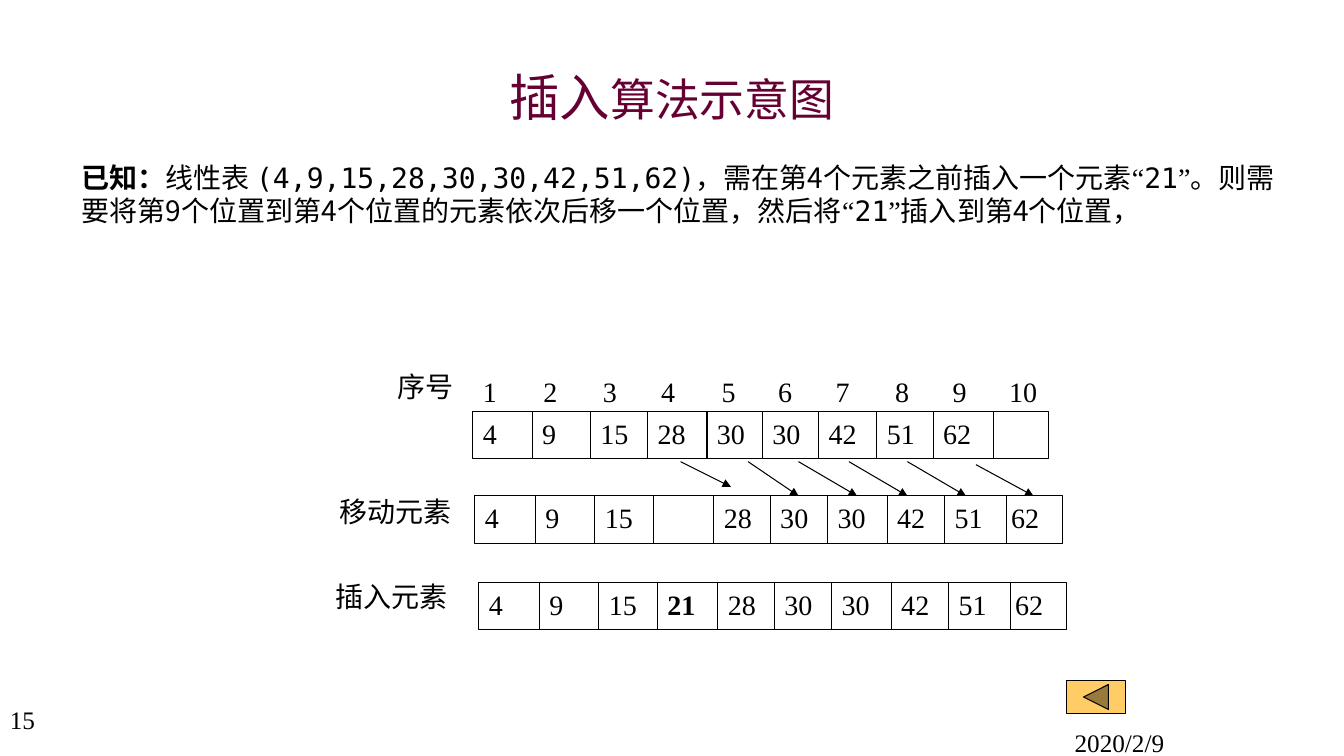
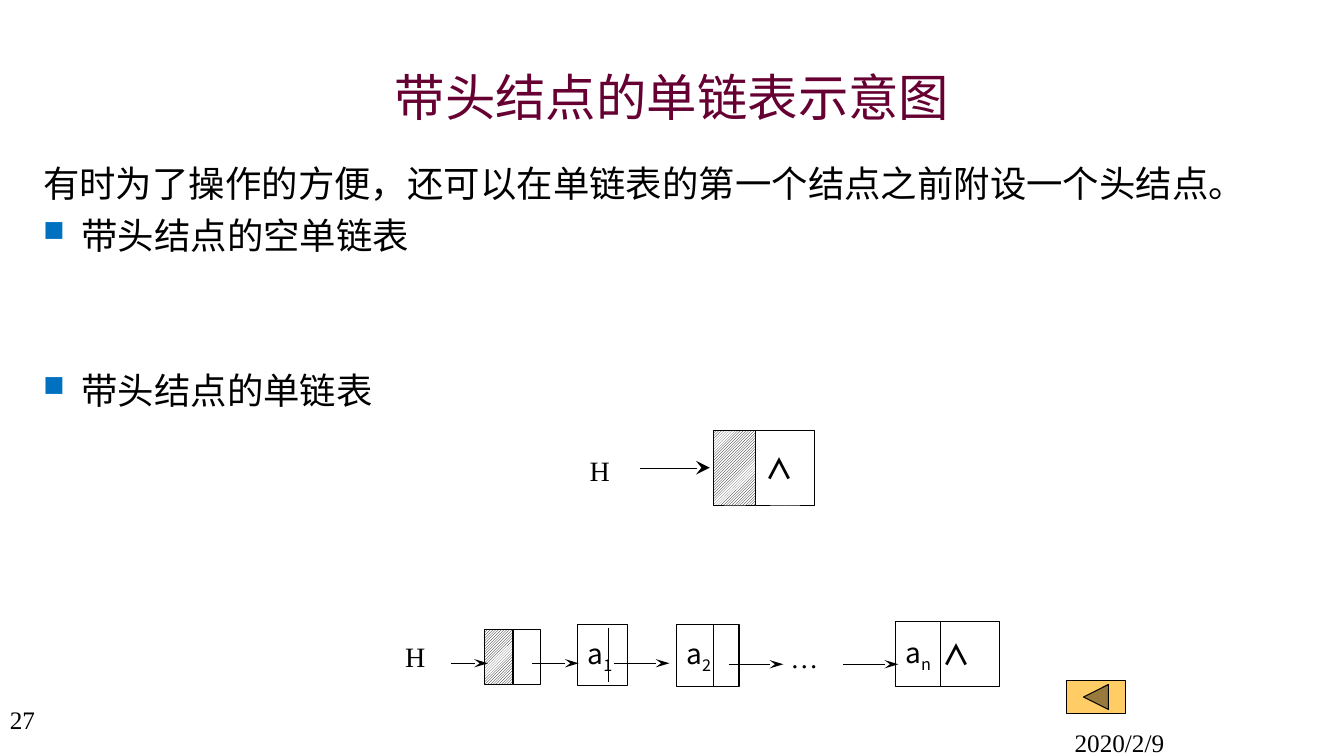
from pptx import Presentation
from pptx.dml.color import RGBColor
from pptx.enum.dml import MSO_PATTERN
from pptx.enum.shapes import MSO_CONNECTOR, MSO_SHAPE
from pptx.enum.text import MSO_ANCHOR, PP_ALIGN
from pptx.oxml.ns import qn
from pptx.util import Inches, Pt
from lxml import etree

RECTANGLE = MSO_SHAPE.RECTANGLE
BACK_BUTTON = MSO_SHAPE.ACTION_BUTTON_BACK_OR_PREVIOUS
STRAIGHT = MSO_CONNECTOR.STRAIGHT
HATCH = MSO_PATTERN.LIGHT_UPWARD_DIAGONAL
TOP, MIDDLE = MSO_ANCHOR.TOP, MSO_ANCHOR.MIDDLE
LEFT, CENTER, RIGHT, JUSTIFY = PP_ALIGN.LEFT, PP_ALIGN.CENTER, PP_ALIGN.RIGHT, PP_ALIGN.JUSTIFY

SANS, MONO, SERIF = "Noto Sans CJK SC", "DejaVu Sans Mono", "Times New Roman"
BLACK, WHITE, WINE, BLUE, AMBER = "000000", "FFFFFF", "660033", "0070C0", "FFCC66"
SLIDE_SIZE = (13.33, 7.5)
TITLE_BOX = (1, 0.58, 11.33, 0.75)
BODY_BOX = (0.33, 1.55, 12.67, 1.2)
LIST_BOX = (0.33, 1.55, 12.67, 2.6)
DATE_BOX = (10.56, 7.17, 2.78, 0.33)
NUMBER_BOX = (0, 6.94, 0.86, 0.53)
BUTTON_BOX = (10.58, 6.75, 0.58, 0.33)
DATE = "2020/2/9"
INDENT = 0.38

INSERT_TITLE = [("插入", 36), ("算法示意图", 32)]
INSERT_TEXT = [
    ("已知：", SANS, True),
    ("线性表 ", SANS, False),
    ("(4,9,15,28,30,30,42,51,62)", MONO, False),
    ("，需在第4个元素之前插入一个元素", SANS, False),
    ("“", SERIF, False),
    ("21", MONO, False),
    ("”", SERIF, False),
    ("。则需要将第9个位置到第4个位置的元素依次后移一个位置，然后将", SANS, False),
    ("“", SERIF, False),
    ("21", MONO, False),
    ("”", SERIF, False),
    ("插入到第4个位置，", SANS, False),
]
COLUMN_OFFSETS = [0, 0.6, 1.19, 1.77, 2.37, 2.93, 3.5, 4.09, 4.66, 5.22]
DRAW_ORDER = [*range(8), 9, 8]
CELL_WIDTH, CELL_HEIGHT = 0.61, 0.47
INDEX_LEFT, INDEX_TOP = 4.69, 3.67
ARRAY_ROWS = [
    (4.69, 4.08, 0.98, ["4", "9", "15", "28", "30", "30", "42", "51", "62", ""]),
    (4.71, 4.92, 1, ["4", "9", "15", "", "28", "30", "30", "42", "51", "62"]),
    (4.75, 5.78, 1, ["4", "9", "15", "21", "28", "30", "30", "42", "51", "62"]),
]
INSERTED = "21"
ROW_LABELS = [
    ("序号", (3.67, 3.62, 0.93, 0.46)),
    ("移动元素", (3.12, 4.86, 1.46, 0.51)),
    ("插入元素", (3.08, 5.7, 1.46, 0.57)),
]
SHIFT_ARROWS = [
    (6.75, 4.58, 7.25, 4.83),
    (7.42, 4.58, 7.92, 4.92),
    (7.92, 4.58, 8.5, 4.92),
    (8.42, 4.58, 9, 4.92),
    (9, 4.58, 9.58, 4.92),
    (9.68, 4.61, 10.25, 4.92),
]

LIST_TITLE = [("带头结点的单链表示意图", 36)]
LIST_ITEMS = [
    ("有时为了操作的方便，还可以在单链表的第一个结点之前附设一个头结点。", False, 0),
    ("带头结点的空单链表", True, 6),
    ("带头结点的单链表", True, 80),
]
HEAD_NODES = [
    ((7.08, 4.27, 0.42, 0.75), (7.49, 4.27, 0.59, 0.75), "∧"),
    ((4.81, 6.25, 0.27, 0.54), (5.09, 6.25, 0.27, 0.54), ""),
]
DATA_NODES = [
    ("1", (5.73, 6.2, 0.49, 0.6), (6.04, 6.23, 6.77)),
    ("2", (6.71, 6.2, 0.62, 0.61), (7.08, 6.2, 6.81)),
    ("n", (8.88, 6.17, 1.03, 0.64), (9.33, 6.17, 6.81)),
]
LIST_LABELS = [
    ("H", SERIF, False, (5.75, 4.25, 0.57, 0.83)),
    ("H", SERIF, False, (3.92, 6.25, 0.47, 0.53)),
    ("…", SERIF, False, (7.74, 6.17, 0.65, 0.7)),
    ("∧", SANS, True, (9.25, 6.17, 0.66, 0.64)),
]
EMPTY_LIST_ARROW = (6.35, 4.64, 7.04, 4.64)
LINK_ARROWS = [(4.47, 4.84, 6.58), (5.28, 5.74, 6.58), (6.09, 6.64, 6.58),
               (7.23, 7.77, 6.59), (8.36, 8.91, 6.59)]


def color(value):
    return RGBColor.from_string(value)


def inches(box):
    return [Inches(length) for length in box]


def add_run(paragraph, text, size=20, font=SERIF, bold=False, fill=BLACK, baseline=0):
    run = paragraph.add_run()
    run.text = text
    run.font.size = Pt(size)
    run.font.name = font
    run.font.bold = bold
    run.font.color.rgb = color(fill)
    properties = run.font._element
    etree.SubElement(properties, qn("a:ea")).set("typeface", font)
    if baseline:
        properties.set("baseline", str(baseline * 1000))


def prepare(shape, align=LEFT, anchor=TOP):
    frame = shape.text_frame
    frame.word_wrap = True
    frame.vertical_anchor = anchor
    paragraph = frame.paragraphs[0]
    paragraph.alignment = align
    return paragraph


def add_text(slide, box, text, align=LEFT, anchor=TOP, **style):
    shape = slide.shapes.add_textbox(*inches(box))
    add_run(prepare(shape, align, anchor), text, **style)


def add_box(slide, box, fill=WHITE, outlined=True, hatched=False, kind=RECTANGLE):
    shape = slide.shapes.add_shape(kind, *inches(box))
    shape.shadow.inherit = False
    if hatched:
        shape.fill.patterned()
        shape.fill.pattern = HATCH
        shape.fill.fore_color.rgb = color(BLACK)
        shape.fill.back_color.rgb = color(WHITE)
    else:
        shape.fill.solid()
        shape.fill.fore_color.rgb = color(fill)
    if outlined:
        shape.line.color.rgb = color(BLACK)
        shape.line.width = Pt(0.75)
    else:
        shape.line.fill.background()
    return shape


def add_line(slide, ends, width=0.75, head=None, head_size=("med", "med")):
    line = slide.shapes.add_connector(STRAIGHT, *inches(ends))
    line.line.color.rgb = color(BLACK)
    line.line.width = Pt(width)
    if head:
        tail = etree.SubElement(line.line._get_or_add_ln(), qn("a:tailEnd"))
        for name, value in zip(("type", "w", "len"), (head, *head_size)):
            tail.set(name, value)
    etree.SubElement(line._element.spPr, qn("a:effectLst"))


def set_indent(paragraph, first_line, bulleted=False):
    properties = paragraph._p.get_or_add_pPr()
    properties.set("marL", str(Inches(INDENT)))
    properties.set("indent", str(Inches(first_line)))
    if bulleted:
        bullet_color = etree.SubElement(properties, qn("a:buClr"))
        etree.SubElement(bullet_color, qn("a:srgbClr")).set("val", BLUE)
        etree.SubElement(properties, qn("a:buSzPct")).set("val", "80000")
        etree.SubElement(properties, qn("a:buChar")).set("char", "■")


def start_slide(presentation, title_runs, number):
    slide = presentation.slides.add_slide(presentation.slide_layouts[5])
    title = slide.shapes.title
    title.left, title.top, title.width, title.height = inches(TITLE_BOX)
    paragraph = prepare(title, CENTER, MIDDLE)
    for text, size in title_runs:
        add_run(paragraph, text, size, SANS, fill=WINE)
    add_text(slide, DATE_BOX, DATE, size=18)
    add_text(slide, NUMBER_BOX, number, size=18)
    add_box(slide, BUTTON_BOX, AMBER, kind=BACK_BUTTON)
    return slide


def build_insertion(presentation):
    slide = start_slide(presentation, INSERT_TITLE, "15")
    paragraph = prepare(slide.shapes.add_textbox(*inches(BODY_BOX)))
    set_indent(paragraph, 0)
    paragraph.line_spacing = Pt(23.5)
    for text, font, bold in INSERT_TEXT:
        add_run(paragraph, text, font=font, bold=bold)

    for text, box in ROW_LABELS:
        label = add_box(slide, box, outlined=False)
        add_run(prepare(label, RIGHT), text, font=SANS)
    for index, offset in enumerate(COLUMN_OFFSETS, 1):
        box = (INDEX_LEFT + offset, INDEX_TOP, CELL_WIDTH, CELL_HEIGHT)
        add_text(slide, box, str(index), JUSTIFY)
    for left, top, scale, values in ARRAY_ROWS:
        for column in DRAW_ORDER:
            box = (left + COLUMN_OFFSETS[column] * scale, top, CELL_WIDTH * scale, CELL_HEIGHT)
            cell = add_box(slide, box)
            if values[column]:
                add_run(prepare(cell, JUSTIFY), values[column], bold=values[column] == INSERTED)
    for ends in SHIFT_ARROWS:
        add_line(slide, ends, head="triangle")


def build_linked_list(presentation):
    slide = start_slide(presentation, LIST_TITLE, "27")
    body = slide.shapes.add_textbox(*inches(LIST_BOX))
    paragraph = prepare(body)
    for position, (text, bulleted, space) in enumerate(LIST_ITEMS):
        if position:
            paragraph = body.text_frame.add_paragraph()
        set_indent(paragraph, -INDENT, bulleted)
        paragraph.line_spacing = Pt(31)
        paragraph.space_before = Pt(space)
        add_run(paragraph, text, 26, SANS)

    for data_box, pointer_box, mark in HEAD_NODES:
        add_box(slide, data_box, hatched=True)
        pointer = add_box(slide, pointer_box)
        if mark:
            add_run(prepare(pointer, JUSTIFY, MIDDLE), mark, font=SANS, bold=True)
    for subscript, box, (x, top, bottom) in DATA_NODES:
        paragraph = prepare(add_box(slide, box), JUSTIFY, MIDDLE)
        add_run(paragraph, "a", font=SANS)
        add_run(paragraph, subscript, font=SANS, baseline=-25)
        add_line(slide, (x, top, x, bottom))
    for text, font, bold, box in LIST_LABELS:
        add_text(slide, box, text, JUSTIFY, MIDDLE, font=font, bold=bold)
    add_line(slide, EMPTY_LIST_ARROW, 0.25, "stealth", ("lg", "lg"))
    for start, end, y in LINK_ARROWS:
        add_line(slide, (start, y, end, y), head="stealth", head_size=("med", "lg"))


def main():
    presentation = Presentation()
    presentation.slide_width, presentation.slide_height = inches(SLIDE_SIZE)
    build_insertion(presentation)
    build_linked_list(presentation)
    presentation.save("out.pptx")


if __name__ == "__main__":
    main()
